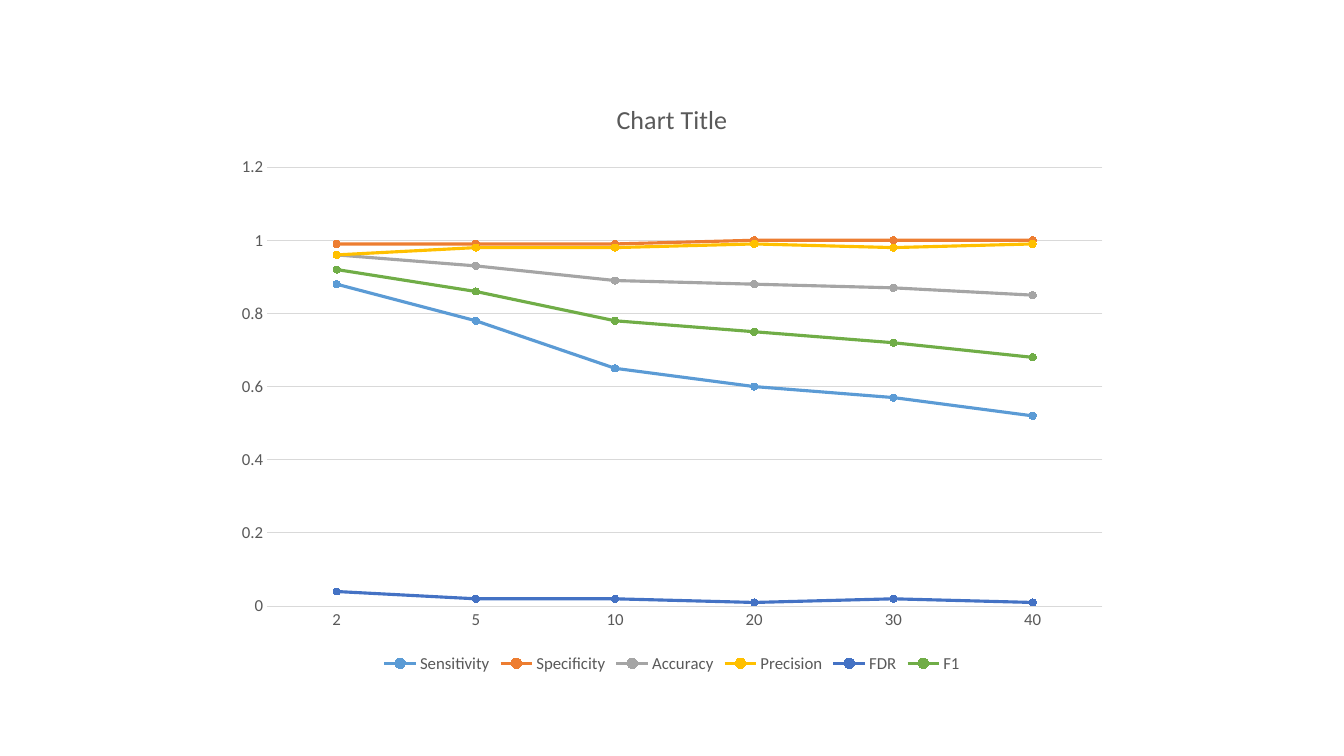
from pptx import Presentation
from pptx.chart.data import CategoryChartData
from pptx.dml.color import RGBColor
from pptx.enum.chart import XL_CHART_TYPE as ChartType
from pptx.enum.chart import XL_LEGEND_POSITION as LegendPosition
from pptx.enum.chart import XL_MARKER_STYLE as MarkerStyle
from pptx.enum.chart import XL_TICK_MARK as TickMark
from pptx.util import Inches, Pt

FONT = "Calibri"
COLORS = {
    "text": "595959",
    "grid": "D9D9D9",
    "Sensitivity": "5B9BD5",
    "Specificity": "ED7D31",
    "Accuracy": "A5A5A5",
    "Precision": "FFC000",
    "FDR": "4472C4",
    "F1": "70AD47",
}
CATEGORIES = ["2", "5", "10", "20", "30", "40"]
METRICS = {
    "Sensitivity": [0.88, 0.78, 0.65, 0.6, 0.57, 0.52],
    "Specificity": [0.99, 0.99, 0.99, 1, 1, 1],
    "Accuracy": [0.96, 0.93, 0.89, 0.88, 0.87, 0.85],
    "Precision": [0.96, 0.98, 0.98, 0.99, 0.98, 0.99],
    "FDR": [0.04, 0.02, 0.02, 0.01, 0.02, 0.01],
    "F1": [0.92, 0.86, 0.78, 0.75, 0.72, 0.68],
}


def rgb(name):
    return RGBColor.from_string(COLORS[name])


def style_font(font, size):
    font.name = FONT
    font.size = Pt(size)
    font.bold = False
    font.color.rgb = rgb("text")


def style_line(line, color, width):
    line.color.rgb = rgb(color)
    line.width = Pt(width)


def style_title(chart):
    chart.has_title = True
    chart.chart_title.include_in_layout = False
    paragraph = chart.chart_title.text_frame.paragraphs[0]
    paragraph.text = "Chart Title"
    style_font(paragraph.font, 18.6)


def style_axes(chart):
    for axis in (chart.category_axis, chart.value_axis):
        axis.major_tick_mark = axis.minor_tick_mark = TickMark.NONE
        style_font(axis.tick_labels.font, 12)
    style_line(chart.category_axis.format.line, "grid", 0.75)

    value_axis = chart.value_axis
    value_axis.minimum_scale, value_axis.maximum_scale = 0, 1.2
    value_axis.major_unit = 0.2
    value_axis.tick_labels.number_format = "General"
    value_axis.tick_labels.number_format_is_linked = False
    value_axis.format.line.fill.background()
    style_line(value_axis.major_gridlines.format.line, "grid", 0.75)


def style_legend(chart):
    chart.has_legend = True
    chart.legend.position = LegendPosition.BOTTOM
    chart.legend.include_in_layout = False
    style_font(chart.legend.font, 12)


def style_series(series):
    series.smooth = False
    style_line(series.format.line, series.name, 2.25)
    marker = series.marker
    marker.style = MarkerStyle.CIRCLE
    marker.size = 5
    marker.format.fill.solid()
    marker.format.fill.fore_color.rgb = rgb(series.name)
    style_line(marker.format.line, series.name, 0.75)


def add_metrics_chart(slide, left, top, width, height):
    data = CategoryChartData()
    data.categories = CATEGORIES
    for name, values in METRICS.items():
        data.add_series(name, values)
    chart = slide.shapes.add_chart(
        ChartType.LINE_MARKERS, left, top, width, height, data
    ).chart
    chart.font.name = FONT
    chart.font.size = Pt(10)
    style_title(chart)
    style_axes(chart)
    style_legend(chart)
    plot = chart.plots[0]
    plot.vary_by_categories = False
    for series in plot.series:
        style_series(series)


def main():
    presentation = Presentation()
    presentation.slide_width = Inches(13.33)
    presentation.slide_height = Inches(7.5)
    slide = presentation.slides.add_slide(presentation.slide_layouts[6])
    add_metrics_chart(slide, Inches(2.22), Inches(0.79), Inches(8.89), Inches(5.93))
    presentation.save("out.pptx")


if __name__ == "__main__":
    main()
